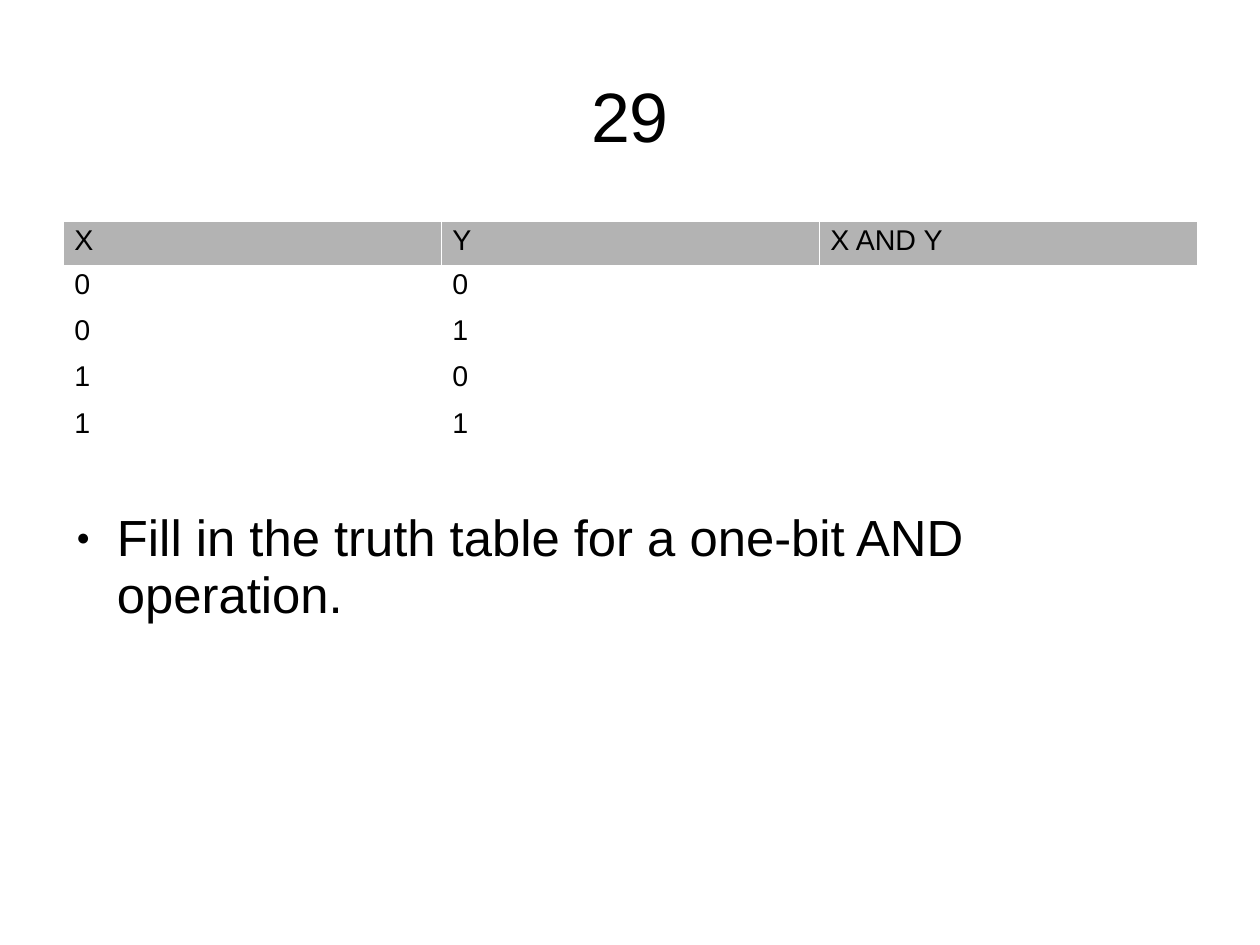
from lxml.etree import SubElement
from pptx import Presentation
from pptx.dml.color import RGBColor
from pptx.enum.text import MSO_ANCHOR, PP_ALIGN
from pptx.oxml.ns import qn
from pptx.util import Cm, Pt

TITLE = "29"
TRUTH_TABLE = [
    ("X", "Y", "X AND Y"),
    ("0", "0", ""),
    ("0", "1", ""),
    ("1", "0", ""),
    ("1", "1", ""),
]
TASK = "Fill in the truth table for a one-bit AND operation."

FONT = "Arial"
BLACK = RGBColor(0x00, 0x00, 0x00)
WHITE = RGBColor(0xFF, 0xFF, 0xFF)
GRAY = RGBColor(0xB3, 0xB3, 0xB3)

LEFT, WIDTH = Cm(1.4), Cm(25.2)
HEADER_HEIGHT, ROW_HEIGHT = Cm(0.97), Cm(1.02)
BORDER_WIDTH = Pt(0.06)


def write(frame, text, size, align=PP_ALIGN.LEFT, space_after=0):
    para = frame.paragraphs[0]
    para.alignment = align
    para.line_spacing = 0.93
    para.space_after = Pt(space_after)
    para.font.size = Pt(size)
    if text:
        span = para.add_run()
        span.text = text
        span.font.name = FONT
        span.font.size = Pt(size)
        span.font.color.rgb = BLACK
    return para


def add_text(page, text, top, height, inset_top, anchor=MSO_ANCHOR.TOP, **text_format):
    box = page.shapes.add_textbox(LEFT, top, WIDTH, height)
    frame = box.text_frame
    frame.word_wrap = True
    frame.vertical_anchor = anchor
    frame.margin_left = frame.margin_right = frame.margin_bottom = 0
    frame.margin_top = inset_top
    return write(frame, text, **text_format)


def add_bullet(para, indent, hanging):
    properties = para._p.get_or_add_pPr()
    properties.set("marL", str(indent))
    properties.set("indent", str(-hanging))
    color = SubElement(properties, qn("a:buClr"))
    SubElement(color, qn("a:srgbClr"), val=str(BLACK))
    SubElement(properties, qn("a:buSzPct"), val="45000")
    SubElement(properties, qn("a:buFont"), typeface=FONT)
    SubElement(properties, qn("a:buChar"), char="●")


def add_borders(cell):
    properties = cell._tc.get_or_add_tcPr()
    for side in ("lnL", "lnR", "lnT", "lnB"):
        line = SubElement(properties, qn(f"a:{side}"), w=str(BORDER_WIDTH))
        fill = SubElement(line, qn("a:solidFill"))
        SubElement(fill, qn("a:srgbClr"), val=str(WHITE))


def add_truth_table(page, top):
    heights = [HEADER_HEIGHT] + [ROW_HEIGHT] * (len(TRUTH_TABLE) - 1)
    columns = len(TRUTH_TABLE[0])
    table = page.shapes.add_table(
        len(heights), columns, LEFT, top, WIDTH, sum(heights)
    ).table
    table.horz_banding = False
    for row_index, values in enumerate(TRUTH_TABLE):
        table.rows[row_index].height = heights[row_index]
        for column_index, value in enumerate(values):
            cell = table.cell(row_index, column_index)
            add_borders(cell)
            cell.fill.solid()
            cell.fill.fore_color.rgb = GRAY if row_index == 0 else WHITE
            write(cell.text_frame, value, size=18)


def main():
    deck = Presentation()
    deck.slide_width, deck.slide_height = Cm(28), Cm(21)
    page = deck.slides.add_slide(deck.slide_layouts[6])
    add_truth_table(page, top=Cm(4.91))
    add_text(page, TITLE, Cm(0.84), Cm(3.5), Cm(0.1),
             anchor=MSO_ANCHOR.MIDDLE, size=44, align=PP_ALIGN.CENTER)
    task = add_text(page, TASK, Cm(11.28), Cm(5.82), Cm(0.08),
                    size=32, space_after=14.3)
    add_bullet(task, indent=Cm(1.2), hanging=Cm(0.9))
    deck.save("out.pptx")


if __name__ == "__main__":
    main()
